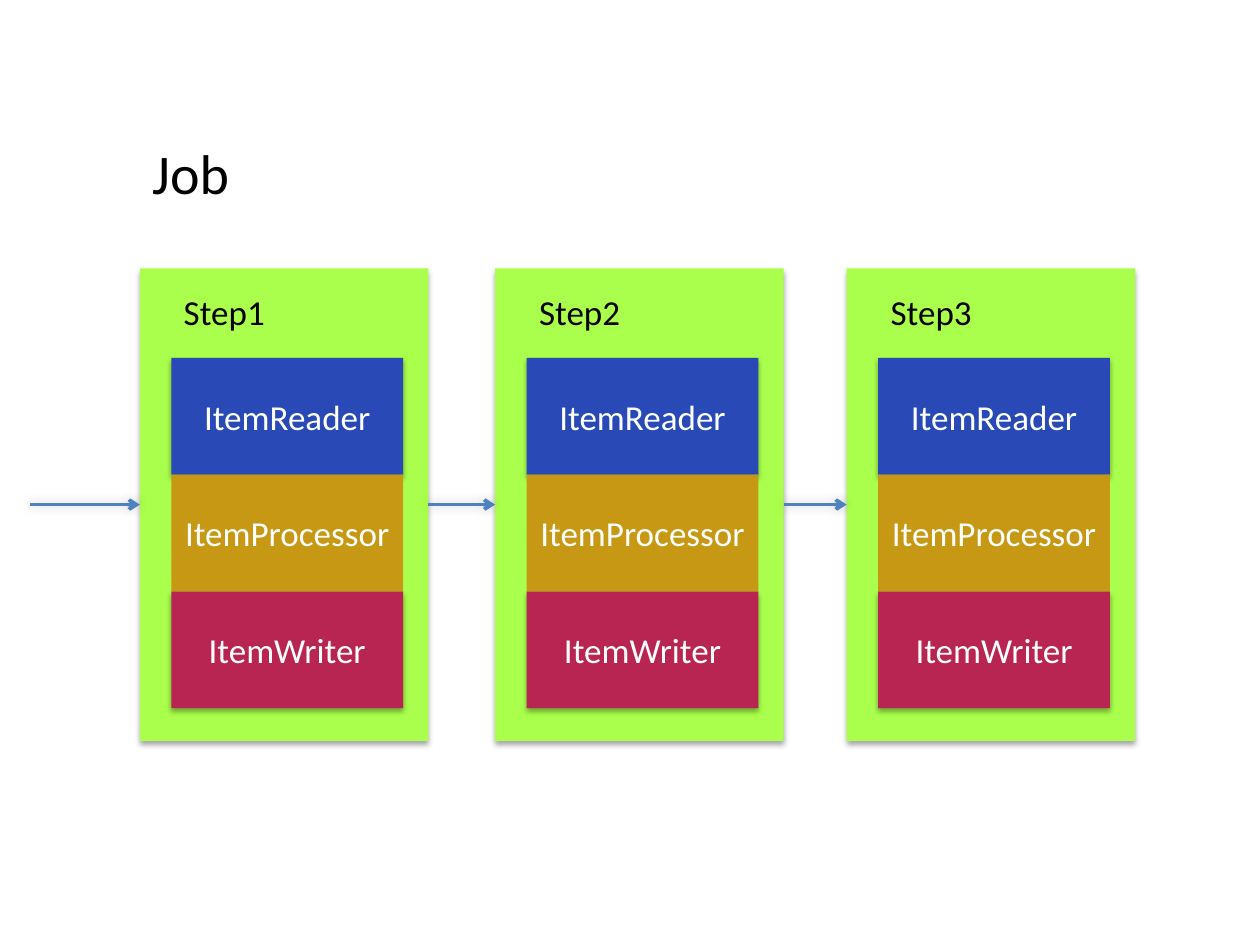
from lxml import etree
from pptx import Presentation
from pptx.dml.color import RGBColor
from pptx.enum.shapes import MSO_CONNECTOR, MSO_SHAPE
from pptx.enum.text import MSO_ANCHOR, MSO_AUTO_SIZE, PP_ALIGN
from pptx.oxml.ns import qn
from pptx.util import Inches, Pt

RECTANGLE = MSO_SHAPE.RECTANGLE
STRAIGHT = MSO_CONNECTOR.STRAIGHT
MIDDLE = MSO_ANCHOR.MIDDLE
CENTER = PP_ALIGN.CENTER
FIT_SHAPE = MSO_AUTO_SIZE.SHAPE_TO_FIT_TEXT
LEFT_SIDE, RIGHT_SIDE = 1, 3

# The slide is a grid of 10 columns by 7.5 rows
COLUMNS, ROWS = 10, 7.5
CELL = Inches(1)

COLORS = {
    "step": "AAFF4C",
    "reader": "2949B6",
    "processor": "C79813",
    "writer": "B92552",
    "arrow": "4F81BD",
    "label": "000000",
    "block_text": "FFFFFF",
    "shadow": "000000",
}
# Opacity in percent, blur and distance in points, direction in degrees
BLOCK_SHADOW = {"opacity": 35, "blur": 3.1, "distance": 1.8, "direction": 90}
ARROW_SHADOW = {"opacity": 20, "blur": 6, "distance": 0, "direction": 315}

# Name, colour, row in the stack, shadow; the processor covers its neighbours' shadows
BLOCKS = [
    ("ItemReader", "reader", 0, BLOCK_SHADOW),
    ("ItemWriter", "writer", 2, BLOCK_SHADOW),
    ("ItemProcessor", "processor", 1, None),
]
STEP_LEFTS = [1.11, 3.93, 6.72]
STEP_TOP, STEP_WIDTH, STEP_HEIGHT = 2.13, 2.29, 3.75


def grid(*lengths):
    return [round(length * CELL) for length in lengths]


def rgb(color):
    return RGBColor.from_string(COLORS[color])


def set_shadow(part, shadow):
    effects = etree.SubElement(part._element.spPr, qn("a:effectLst"))
    if shadow:
        outer = etree.SubElement(
            effects, qn("a:outerShdw"),
            blurRad=str(Pt(shadow["blur"])), dist=str(Pt(shadow["distance"])),
            dir=str(shadow["direction"] * 60000), rotWithShape="0")
        color = etree.SubElement(outer, qn("a:srgbClr"), val=COLORS["shadow"])
        etree.SubElement(color, qn("a:alpha"), val=str(shadow["opacity"] * 1000))


def write(frame, text, size, color):
    paragraph = frame.paragraphs[0]
    run = paragraph.add_run()
    run.text = text
    for name, value in {"name": "Calibri", "size": Pt(size)}.items():
        setattr(run.font, name, value)
    run.font.color.rgb = rgb(color)
    return paragraph


def add_label(shapes, box, text, size):
    frame = shapes.add_textbox(*grid(*box)).text_frame
    for name, value in {"word_wrap": False, "auto_size": FIT_SHAPE}.items():
        setattr(frame, name, value)
    write(frame, text, size, "label")


def add_block(shapes, box, color, shadow):
    block = shapes.add_shape(RECTANGLE, *grid(*box))
    block.fill.solid()
    block.fill.fore_color.rgb = rgb(color)
    block.line.fill.background()
    set_shadow(block, shadow)
    return block


def add_step(slide, box, title):
    left, top, width, height = box
    shapes = slide.shapes.add_group_shape().shapes
    panel = add_block(shapes, box, "step", BLOCK_SHADOW)

    # Stack of item blocks
    stack_left, stack_top = left + 0.25, top + 0.71
    stack_width, block_height = width - 0.45, (height - 0.97) / 3
    for name, color, row, shadow in BLOCKS:
        block_box = (stack_left, stack_top + row * block_height,
                     stack_width, block_height)
        frame = add_block(shapes, block_box, color, shadow).text_frame
        for key, value in {"word_wrap": True, "vertical_anchor": MIDDLE}.items():
            setattr(frame, key, value)
        write(frame, name, 20, "block_text").alignment = CENTER

    add_label(shapes, (stack_left, top + 0.13, 0.85, 0.44), title, 20)
    return panel


def add_arrow(slide, source, target, start):
    middle = STEP_TOP + STEP_HEIGHT / 2
    arrow = slide.shapes.add_connector(STRAIGHT, *grid(start, middle, start, middle))
    if source is not None:
        arrow.begin_connect(source, RIGHT_SIDE)
    arrow.end_connect(target, LEFT_SIDE)
    arrow.line.color.rgb = rgb("arrow")
    arrow.line.width = Pt(2)
    etree.SubElement(arrow.line._get_or_add_ln(), qn("a:tailEnd"), type="arrow")
    set_shadow(arrow, ARROW_SHADOW)


def add_job(slide):
    panels = [
        add_step(slide, (left, STEP_TOP, STEP_WIDTH, STEP_HEIGHT), f"Step{number}")
        for number, left in enumerate(STEP_LEFTS, 1)
    ]
    # Arrows into each step, the first from the slide's left edge
    for source, target in zip([None] + panels, panels):
        add_arrow(slide, source, target, 0.24)
    add_label(slide.shapes, (STEP_LEFTS[0], 1.05, 0.82, 0.64), "Job", 32)


def main():
    presentation = Presentation()
    presentation.slide_width, presentation.slide_height = grid(COLUMNS, ROWS)
    add_job(presentation.slides.add_slide(presentation.slide_layouts[6]))
    presentation.save("out.pptx")


if __name__ == "__main__":
    main()
